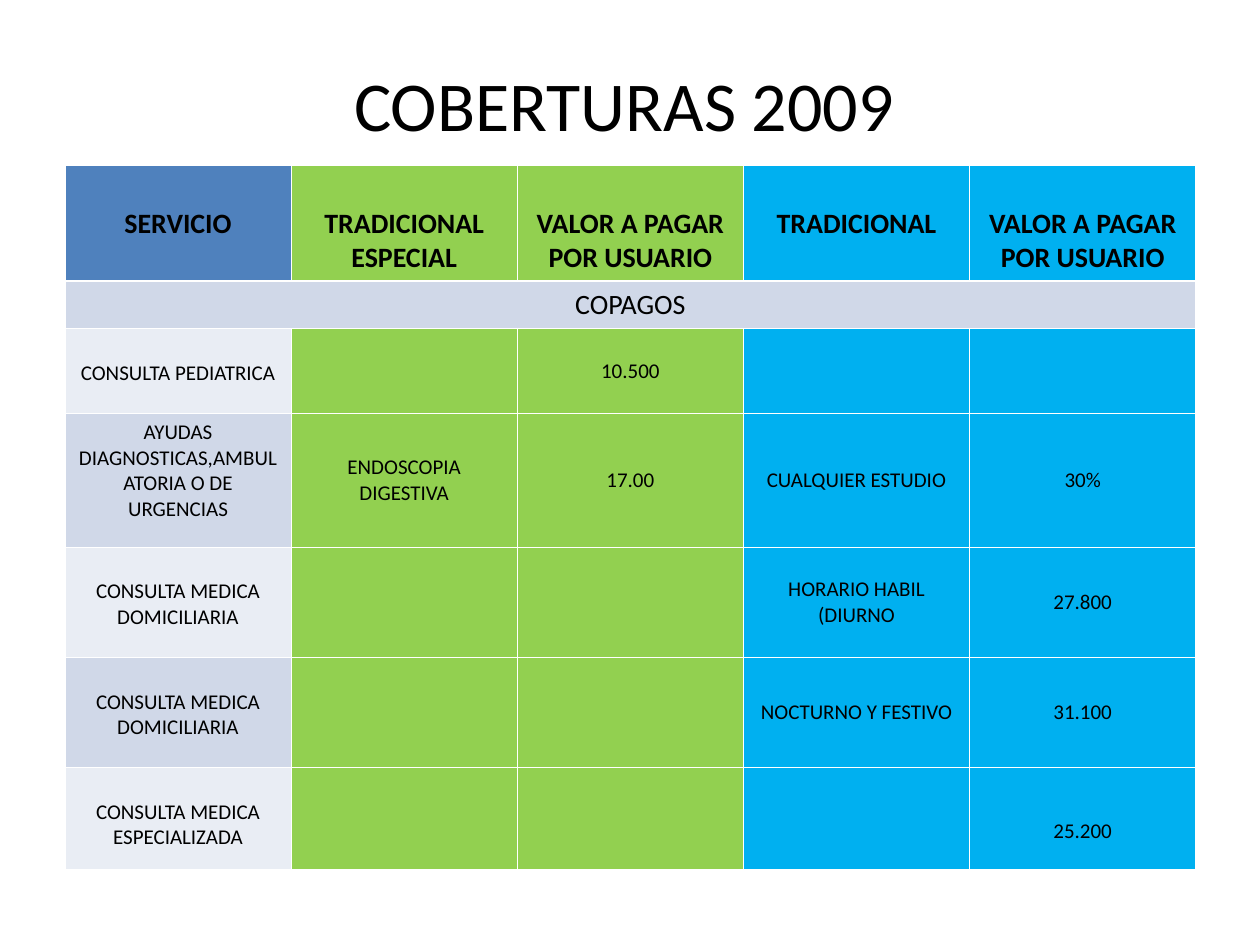
from dataclasses import dataclass

import pptx
import pptx.dml.color
import pptx.enum.text
import pptx.oxml
import pptx.oxml.ns
import pptx.util

Cm, Pt = pptx.util.Cm, pptx.util.Pt
RGBColor = pptx.dml.color.RGBColor
ANCHOR = pptx.enum.text.MSO_ANCHOR

BLACK = RGBColor(0x00, 0x00, 0x00)
WHITE = RGBColor(0xFF, 0xFF, 0xFF)
NAVY = RGBColor(0x4F, 0x81, 0xBD)
GREEN = RGBColor(0x92, 0xD0, 0x50)
SKY = RGBColor(0x00, 0xB0, 0xF0)
BAND_DARK = RGBColor(0xD0, 0xD8, 0xE8)
BAND_LIGHT = RGBColor(0xE9, 0xED, 0xF4)

PAD_X, PAD_Y = Cm(0.25), Cm(0.13)
THIN, THICK = 0.45, 1.47
COL_WIDTH = Cm(4.56)
PLAN_FILLS = [GREEN, GREEN, SKY, SKY]


@dataclass
class Row:
    height: float
    texts: list[str]
    first_drop: float = 0.51  # extra space above the service name, in cm
    last_drop: float = 0.0    # extra space above the last value, in cm


HEADER = Row(2.32, ["SERVICIO", "TRADICIONAL ESPECIAL", "VALOR A PAGAR POR USUARIO",
                    "TRADICIONAL", "VALOR A PAGAR POR USUARIO"], 0.69)
SECTION = Row(0.95, ["COPAGOS"])
SERVICES = [
    Row(1.71, ["CONSULTA PEDIATRICA", "", "10.500", "", ""]),
    Row(2.7, ["AYUDAS DIAGNOSTICAS,AMBULATORIA O DE URGENCIAS",
              "ENDOSCOPIA DIGESTIVA", "17.00", "CUALQUIER ESTUDIO", "30%"], 0),
    Row(2.22, ["CONSULTA MEDICA DOMICILIARIA", "", "", "HORARIO HABIL (DIURNO", "27.800"]),
    Row(2.22, ["CONSULTA MEDICA DOMICILIARIA", "", "", "NOCTURNO Y FESTIVO", "31.100"]),
    Row(2.06, ["CONSULTA MEDICA ESPECIALIZADA", "", "", "", "25.200"], last_drop=0.51),
]


def write(tf, text: str, *, size: float, bold: bool = False) -> None:
    """Put one centred paragraph in a text frame."""
    p = tf.paragraphs[0]
    p.alignment = pptx.enum.text.PP_ALIGN.CENTER
    r = p.add_run()
    r.text = text
    r.font.name, r.font.size, r.font.bold = "Calibri", Pt(size), bold
    r.font.color.rgb = BLACK


def set_borders(cell, top: float = THIN, bottom: float = THIN) -> None:
    """Give the cell white borders; widths are in points."""
    tc_pr = cell._tc.get_or_add_tcPr()
    widths = {"lnL": THIN, "lnR": THIN, "lnT": top, "lnB": bottom}
    for i, (tag, width) in enumerate(widths.items()):
        tc_pr.insert(i, pptx.oxml.parse_xml(
            f'<a:{tag} {pptx.oxml.ns.nsdecls("a")} w="{Pt(width)}"><a:solidFill>'
            f'<a:srgbClr val="{WHITE}"/></a:solidFill></a:{tag}>'))


def fill_cell(cell, text: str, fill: RGBColor, *, size: float = 12, bold: bool = False,
              anchor=ANCHOR.TOP, drop: float = 0, top: float = THIN,
              bottom: float = THIN) -> None:
    cell.fill.solid()
    cell.fill.fore_color.rgb = fill
    set_borders(cell, top, bottom)
    cell.margin_left = cell.margin_right = PAD_X
    cell.margin_top, cell.margin_bottom = PAD_Y + Cm(drop), PAD_Y
    cell.vertical_anchor = anchor
    if text:
        write(cell.text_frame, text, size=size, bold=bold)


def add_coverage_table(slide) -> None:
    rows = [HEADER, SECTION, *SERVICES]
    n_cols = len(HEADER.texts)
    table = slide.shapes.add_table(len(rows), n_cols, Cm(1.31), Cm(3.34), n_cols * COL_WIDTH,
                                   Cm(sum(row.height for row in rows))).table
    for col in table.columns:
        col.width = COL_WIDTH
    for table_row, row in zip(table.rows, rows):
        table_row.height = Cm(row.height)

    # Column headings
    for c, (text, fill) in enumerate(zip(HEADER.texts, [NAVY, *PLAN_FILLS])):
        fill_cell(table.cell(0, c), text, fill, size=16, bold=True,
                  drop=HEADER.first_drop, bottom=THICK)

    # Section band across all columns
    table.cell(1, 0).merge(table.cell(1, n_cols - 1))
    for c in range(n_cols):
        fill_cell(table.cell(1, c), SECTION.texts[0] if c == 0 else "", BAND_DARK,
                  size=16, top=THICK)

    # Services, with alternating bands in the first column
    for i, row in enumerate(SERVICES):
        band = BAND_DARK if i % 2 else BAND_LIGHT
        drops = [row.first_drop, 0, 0, 0, row.last_drop]
        for c, (text, fill) in enumerate(zip(row.texts, [band, *PLAN_FILLS])):
            fill_cell(table.cell(i + 2, c), text, fill, drop=drops[c],
                      anchor=ANCHOR.MIDDLE if c else ANCHOR.TOP)


def main() -> None:
    prs = pptx.Presentation()
    prs.slide_width, prs.slide_height = Cm(25.4), Cm(19.05)
    slide = prs.slides.add_slide(prs.slide_layouts[5])

    # Title
    title = slide.shapes.title
    title.left, title.top, title.width, title.height = Cm(1.78), Cm(1.2), Cm(21.6), Cm(1.78)
    title.text_frame.vertical_anchor = ANCHOR.MIDDLE
    write(title.text_frame, "COBERTURAS 2009", size=40)

    add_coverage_table(slide)
    prs.save("out.pptx")


if __name__ == "__main__":
    main()
